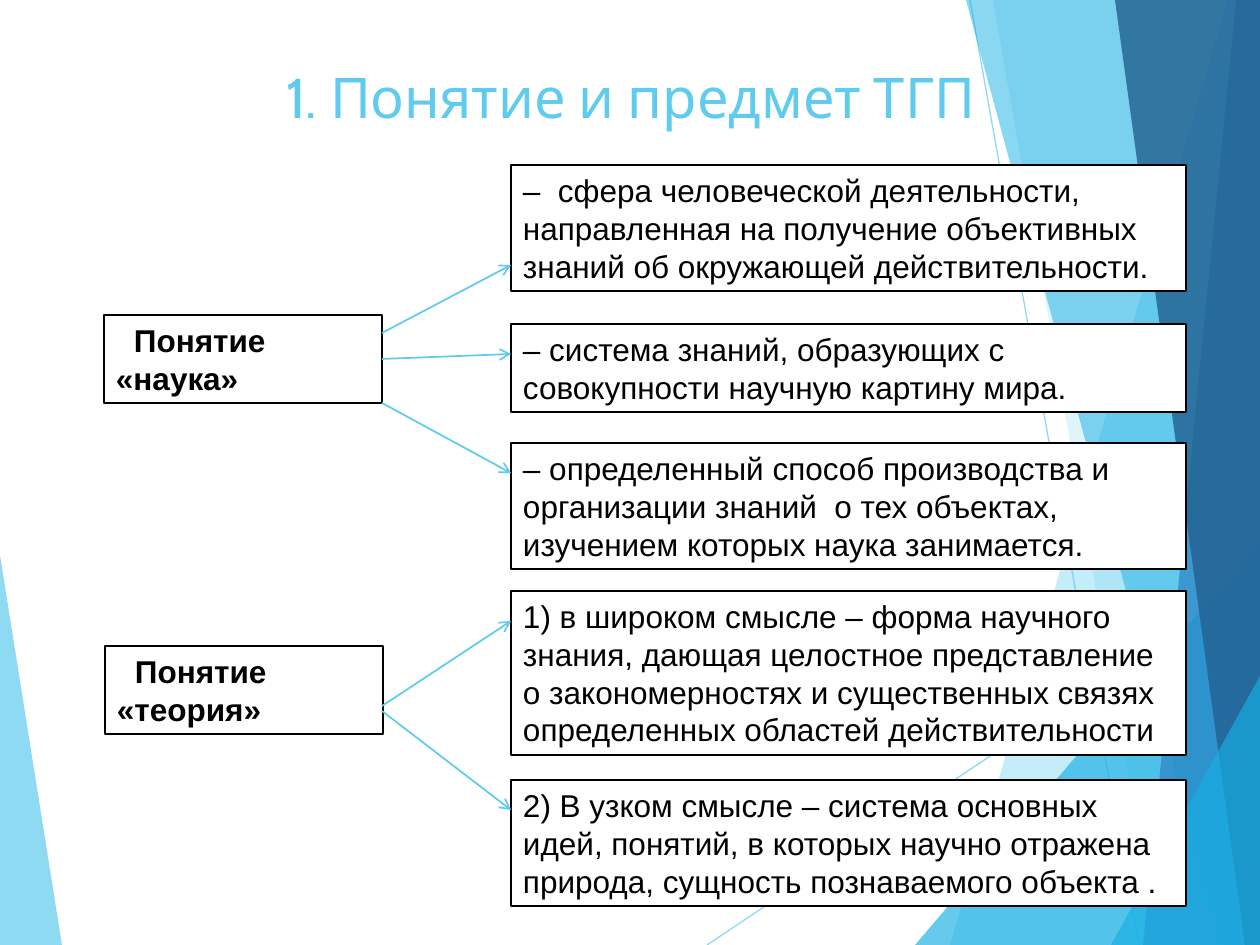
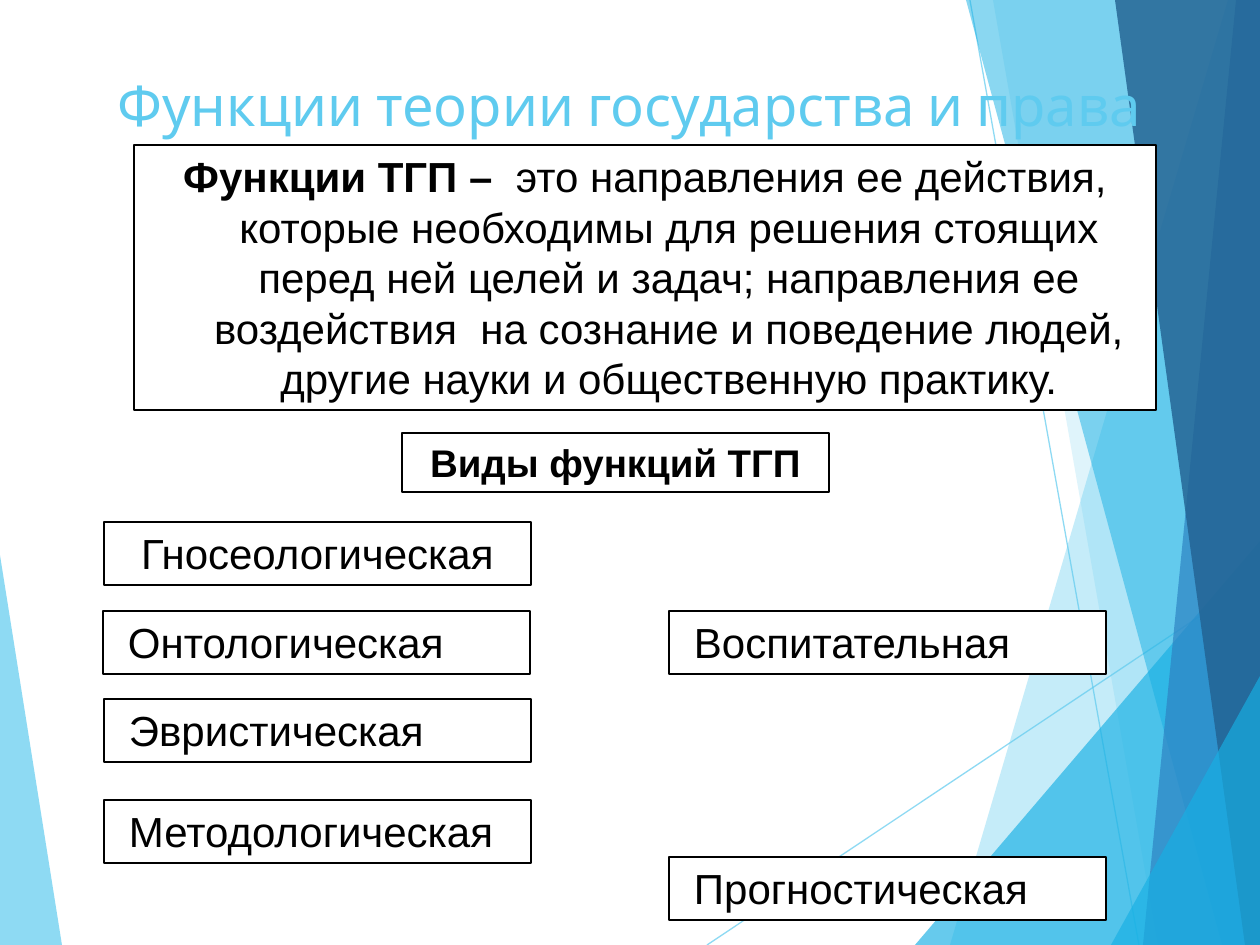
from dataclasses import dataclass

from lxml.etree import SubElement
from pptx import Presentation
from pptx.dml.color import RGBColor
from pptx.enum.shapes import MSO_CONNECTOR, MSO_SHAPE
from pptx.enum.text import MSO_ANCHOR, PP_ALIGN
from pptx.oxml.ns import qn
from pptx.util import Emu, Pt

# Shared look: lengths are px, 126 to the inch
SCALE = 914400 / 126
PAGE_WIDTH, PAGE_HEIGHT = 1260, 945
SKY, CYAN, BLUE, NAVY = "5FCBEF", "17B0E4", "2E83C3", "236292"
BLACK, WHITE = "000000", "FFFFFF"
TITLE_FONT, BODY_FONT = "Cabin", "Arial"
BOX_INSET = 6


@dataclass(frozen=True)
class Band:
    """A filled area between a slanted edge and one side of the page."""
    start: tuple[int, int]
    end: tuple[int, int]
    color: str
    opacity: int
    side: int = PAGE_WIDTH


@dataclass(frozen=True)
class Meaning:
    text: str
    top: int
    lines: int
    arrow_start: int
    arrow_drop: int = 30


@dataclass(frozen=True)
class Concept:
    text: str
    left: int
    top: int
    meanings: tuple[Meaning, ...]


@dataclass(frozen=True)
class FunctionLabel:
    text: str
    left: int
    top: int
    width: int


BACK_LINES = (((707, 945), (1260, 576)), ((970, 0), (1139, 945)))
BANDS = (
    Band((0, 555), (62, 945), SKY, 70, side=0),
    Band((1228, 0), (950, 945), SKY, 36),
    Band((993, 0), (1158, 945), SKY, 20),
    Band((1260, 541), (915, 945), CYAN, 66),
    Band((966, 0), (1222, 945), CYAN, 50),
    Band((1236, 0), (1143, 945), BLUE, 70),
    Band((1115, 0), (1245, 945), NAVY, 82),
    Band((1260, 676), (1111, 945), CYAN, 66),
)

CONCEPTS = (
    Concept("Понятие «наука»", 104, 315, (
        Meaning("–  сфера человеческой деятельности, направленная на получение "
                "объективных знаний об окружающей действительности.", 165, 3, 333, 100),
        Meaning("– система знаний, образующих с совокупности научную картину мира.",
                324, 2, 359),
        Meaning("– определенный способ производства и организации знаний  о тех "
                "объектах, изучением которых наука занимается.", 443, 3, 403),
    )),
    Concept("Понятие «теория»", 105, 646, (
        Meaning("1) в широком смысле – форма научного знания, дающая целостное "
                "представление о закономерностях и существенных связях "
                "определенных областей действительности", 591, 4, 706),
        Meaning("2) В узком смысле – система основных идей, понятий, в которых "
                "научно отражена природа, сущность познаваемого объекта .",
                780, 3, 711),
    )),
)

FUNCTION_LABELS = (
    FunctionLabel("Онтологическая", 103, 611, 427),
    FunctionLabel("Эвристическая", 104, 699, 427),
    FunctionLabel("Методологическая", 104, 800, 427),
    FunctionLabel("Воспитательная", 669, 611, 437),
    FunctionLabel("Прогностическая", 669, 857, 437),
)


def px(length: float) -> Emu:
    return Emu(round(length * SCALE))


def rgb(color: str) -> RGBColor:
    return RGBColor.from_string(color)


def set_opacity(shape, percent: int) -> None:
    for color in shape.element.spPr.iter(qn("a:srgbClr")):
        SubElement(color, qn("a:alpha"), val=str(percent * 1000))


def write_text(shape, text: str, *, size: int = 18, font: str = BODY_FONT,
               color: str = BLACK, bold: bool = False, bold_lead: str = "",
               align=PP_ALIGN.LEFT, anchor=MSO_ANCHOR.TOP, margin: int = 0,
               indent: int = 0, line_height: float | None = 1.2) -> None:
    frame = shape.text_frame
    frame.word_wrap = True
    frame.vertical_anchor = anchor
    frame.margin_left = frame.margin_right = px(2 * BOX_INSET)
    frame.margin_top = frame.margin_bottom = px(BOX_INSET)
    para = frame.paragraphs[0]
    para.alignment = align
    if line_height:
        para.line_spacing = Pt(size * line_height)
    properties = para._p.get_or_add_pPr()
    properties.set("marL", str(px(margin)))
    properties.set("indent", str(px(indent)))
    for words, is_bold in ((bold_lead, True), (text, bold)):
        if words:
            span = para.add_run()
            span.text = words
            span.font.size = Pt(size)
            span.font.name = font
            span.font.bold = is_bold
            span.font.color.rgb = rgb(color)


def add_line(page, start: tuple[int, int], end: tuple[int, int], *,
             width: float, opacity: int = 100, arrow: bool = False) -> None:
    line = page.shapes.add_connector(
        MSO_CONNECTOR.STRAIGHT, *map(px, (*start, *end)))
    line.line.color.rgb = rgb(SKY)
    line.line.width = Pt(width)
    if opacity < 100:
        set_opacity(line, opacity)
    if arrow:
        SubElement(line.line._get_or_add_ln(), qn("a:tailEnd"), type="arrow")
    SubElement(line.element.spPr, qn("a:effectLst"))


def add_band(page, band: Band) -> None:
    builder = page.shapes.build_freeform(*band.start, scale=SCALE)
    builder.add_line_segments(
        [band.end, (band.side, PAGE_HEIGHT), (band.side, band.start[1])])
    shape = builder.convert_to_shape()
    shape.shadow.inherit = False
    shape.fill.solid()
    shape.fill.fore_color.rgb = rgb(band.color)
    shape.line.fill.background()
    set_opacity(shape, band.opacity)


def add_box(page, text: str, left: int, top: int, width: int, height: int,
            **text_format) -> None:
    box = page.shapes.add_shape(
        MSO_SHAPE.RECTANGLE, *map(px, (left, top, width, height)))
    box.shadow.inherit = False
    box.fill.solid()
    box.fill.fore_color.rgb = rgb(WHITE)
    box.line.color.rgb = rgb(BLACK)
    box.line.width = Pt(1.25)
    write_text(box, text, **text_format)


def add_page(deck, title: str, left: int, top: int, width: int):
    page = deck.slides.add_slide(deck.slide_layouts[6])
    for start, end in BACK_LINES:
        add_line(page, start, end, width=0.75, opacity=70)
    for band in BANDS:
        add_band(page, band)
    box = page.shapes.add_textbox(*map(px, (left, top, width, 82)))
    write_text(box, title, size=32, font=TITLE_FONT, color=SKY,
               align=PP_ALIGN.CENTER, anchor=MSO_ANCHOR.MIDDLE, line_height=None)
    return page


def box_height(lines: int) -> int:
    return 38 * lines + 2 * BOX_INSET


def build_concepts_page(deck) -> None:
    page = add_page(deck, "1. Понятие и предмет ТГП", 64, 55, 1134)
    concept_right, meaning_left = 382, 511
    for concept in CONCEPTS:
        add_box(page, concept.text, concept.left, concept.top, 278,
                box_height(2), bold=True, indent=18)
        for meaning in concept.meanings:
            add_box(page, meaning.text, meaning_left, meaning.top, 675,
                    box_height(meaning.lines))
            add_line(page, (concept_right, meaning.arrow_start),
                     (meaning_left, meaning.top + meaning.arrow_drop),
                     width=1, arrow=True)


def build_functions_page(deck) -> None:
    page = add_page(deck, "Функции теории государства и права", 44, 63, 1171)
    centered = dict(align=PP_ALIGN.CENTER, margin=48, indent=-48)
    # Definition and heading
    add_box(page, "это направления ее действия, которые необходимы для решения "
            "стоящих перед ней целей и задач; направления ее воздействия  на "
            "сознание и поведение людей, другие науки и общественную практику.",
            134, 145, 1022, 265, size=24, bold_lead="Функции ТГП –  ", **centered)
    add_box(page, "Виды функций ТГП", 402, 433, 427, 59, size=22, bold=True,
            **centered)
    # Kinds of functions
    add_box(page, "Гносеологическая", 104, 522, 427, 63, size=24, **centered)
    for label in FUNCTION_LABELS:
        add_box(page, label.text, label.left, label.top, label.width, 63,
                size=24, margin=13)


def main() -> None:
    deck = Presentation()
    deck.slide_width, deck.slide_height = px(PAGE_WIDTH), px(PAGE_HEIGHT)
    build_concepts_page(deck)
    build_functions_page(deck)
    deck.save("out.pptx")


if __name__ == "__main__":
    main()
